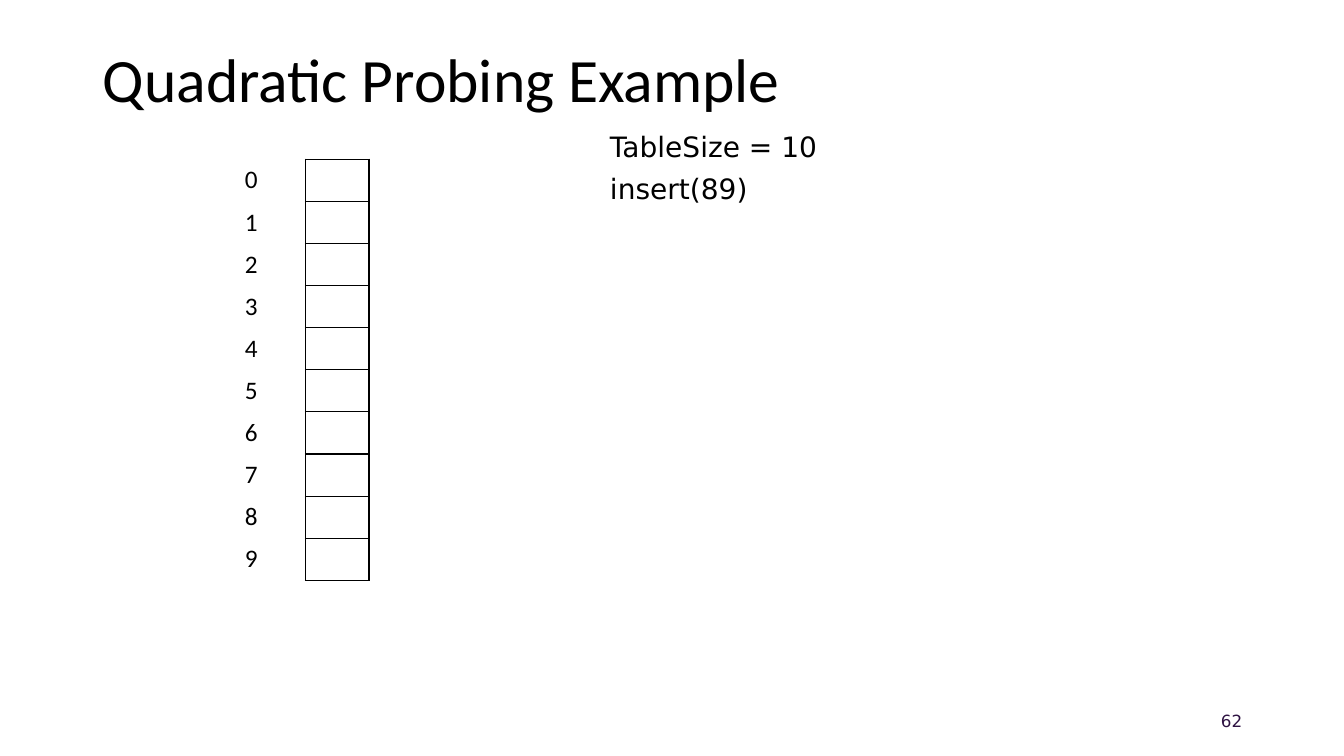
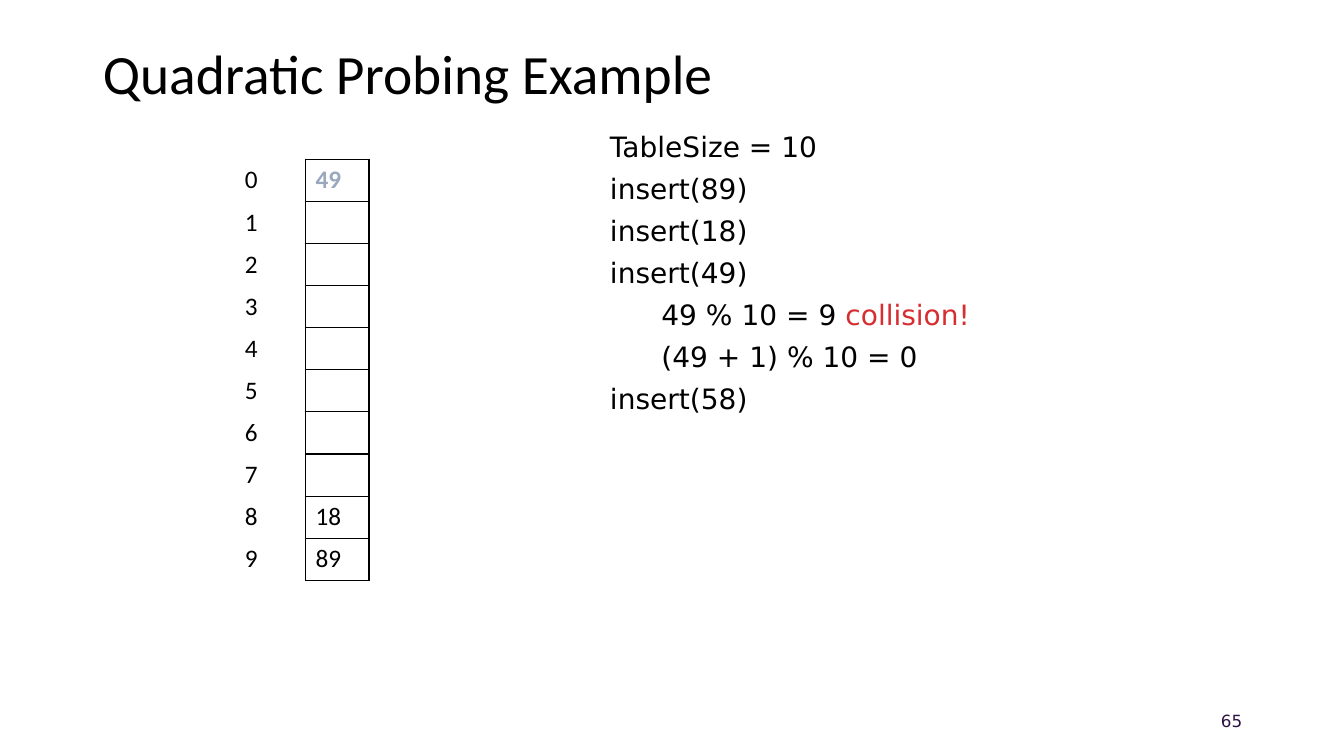
from dataclasses import dataclass, field

from lxml import etree
from pptx import Presentation
from pptx.dml.color import RGBColor
from pptx.enum import text as te
from pptx.oxml import ns
from pptx.util import Inches, Pt

COLORS = {
    "ink": "000000",
    "paper": "FFFFFF",
    "page": "2F1343",
    "collision": "D62D31",
    "moved": "99A8BD",
}
HEADING_FONT, STEP_FONT = "Calibri", "DejaVu Sans"
PLAIN_TABLE = "{2D5ABB26-0587-4C30-8999-92F81FD0307C}"
TABLE_SIZE = 10
ROW_HEIGHT = Inches(4.18 / TABLE_SIZE)


@dataclass
class Step:
    text: str
    warning: str = ""
    indent: float = 0


@dataclass
class Slot:
    key: int
    color: str = "ink"
    bold: bool = False


@dataclass
class ProbeSlide:
    number: int
    title_size: float
    title_height: float
    steps_height: float
    steps: list[Step]
    slots: dict[int, Slot] = field(default_factory=dict)


SLIDES = [
    ProbeSlide(62, 44, 0.83, 0.86, [Step("TableSize = 10"), Step("insert(89)")]),
    ProbeSlide(
        65, 39.6, 0.71, 2.96,
        [
            Step("TableSize = 10"),
            Step("insert(89)"),
            Step("insert(18)"),
            Step("insert(49)"),
            Step("49 % 10 = 9 ", "collision!", 0.51),
            Step("(49 + 1) % 10 = 0", indent=0.51),
            Step("insert(58)"),
        ],
        {0: Slot(49, "moved", True), 8: Slot(18), 9: Slot(89)},
    ),
]


def rgb(name: str) -> RGBColor:
    return RGBColor.from_string(COLORS[name])


def set_font(font, name: str, size: float, color: str = "ink", bold: bool = False) -> None:
    font.name, font.size, font.bold = name, Pt(size), bold
    font.color.rgb = rgb(color)


def place(sp, left: float, top: float, width: float, height: float) -> None:
    sp.left, sp.top = Inches(left), Inches(top)
    sp.width, sp.height = Inches(width), Inches(height)


def add_title(s, slide: ProbeSlide) -> None:
    sp = s.shapes.title
    place(sp, 0.92, 0.4, 11.5, slide.title_height)
    tf = sp.text_frame
    tf.text = "Quadratic Probing Example"
    tf.auto_size = te.MSO_AUTO_SIZE.NONE
    tf.vertical_anchor = te.MSO_ANCHOR.MIDDLE
    p = tf.paragraphs[0]
    p.alignment, p.line_spacing = te.PP_ALIGN.LEFT, 0.9
    set_font(p.font, HEADING_FONT, slide.title_size)


def add_steps(s, slide: ProbeSlide) -> None:
    sp = s.placeholders[1]
    place(sp, 5.95, 1.23, 4.82, slide.steps_height)
    tf = sp.text_frame
    tf.auto_size = te.MSO_AUTO_SIZE.NONE
    for i, step in enumerate(slide.steps):
        p = tf.add_paragraph() if i else tf.paragraphs[0]
        props = p._p.get_or_add_pPr()
        props.set("marL", str(Inches(step.indent)))
        props.set("indent", "0")
        etree.SubElement(props, ns.qn("a:buNone"))
        p.space_before = Pt(6 if i else 0)
        set_font(p.font, STEP_FONT, 20)
        p.add_run().text = step.text
        if step.warning:
            r = p.add_run()
            r.text = step.warning
            r.font.color.rgb = rgb("collision")


def add_borders(cell, sides: str) -> None:
    """Draw thin lines on the given sides, named L, R, T and B."""
    props = cell._tc.get_or_add_tcPr()
    for i, side in enumerate(sides):
        line = etree.Element(ns.qn(f"a:ln{side}"), w=str(Pt(1)))
        solid = etree.SubElement(line, ns.qn("a:solidFill"))
        etree.SubElement(solid, ns.qn("a:srgbClr"), val=COLORS["ink"])
        props.insert(i, line)


def fill_cell(cell, slot: Slot | None, sides: str) -> None:
    cell.fill.background()
    cell.vertical_anchor = te.MSO_ANCHOR.MIDDLE
    p = cell.text_frame.paragraphs[0]
    if slot:
        p.text = str(slot.key)
        set_font(p.font, HEADING_FONT, 18, slot.color, slot.bold)
    add_borders(cell, sides)


def add_hash_table(s, slots: dict[int, Slot]) -> None:
    frame = s.shapes.add_table(TABLE_SIZE, 2, Inches(2.33), Inches(1.58),
                               Inches(1.33), ROW_HEIGHT * TABLE_SIZE)
    table = frame.table
    table.first_row = table.horz_banding = False
    table._tbl.tblPr.find(ns.qn("a:tableStyleId")).text = PLAIN_TABLE
    for column, width in zip(table.columns, (0.7, 0.63)):
        column.width = Inches(width)
    for i, row in enumerate(table.rows):
        row.height = ROW_HEIGHT
        fill_cell(row.cells[0], Slot(i), "R")
        fill_cell(row.cells[1], slots.get(i), "LRTB")


def add_page_number(s, number: int) -> None:
    sp = s.shapes.add_textbox(Inches(9.42), Inches(6.95), Inches(3), Inches(0.4))
    tf = sp.text_frame
    tf.word_wrap = True
    tf.vertical_anchor = te.MSO_ANCHOR.MIDDLE
    p = tf.paragraphs[0]
    p.text = str(number)
    p.alignment = te.PP_ALIGN.RIGHT
    set_font(p.font, STEP_FONT, 12, "page")


def main() -> None:
    prs = Presentation()
    prs.slide_width, prs.slide_height = Inches(13.33), Inches(7.5)
    fill = prs.slide_master.background.fill
    fill.solid()
    fill.fore_color.rgb = rgb("paper")
    for slide in SLIDES:
        s = prs.slides.add_slide(prs.slide_layouts[1])
        add_title(s, slide)
        add_steps(s, slide)
        add_hash_table(s, slide.slots)
        add_page_number(s, slide.number)
    prs.save("out.pptx")


if __name__ == "__main__":
    main()
